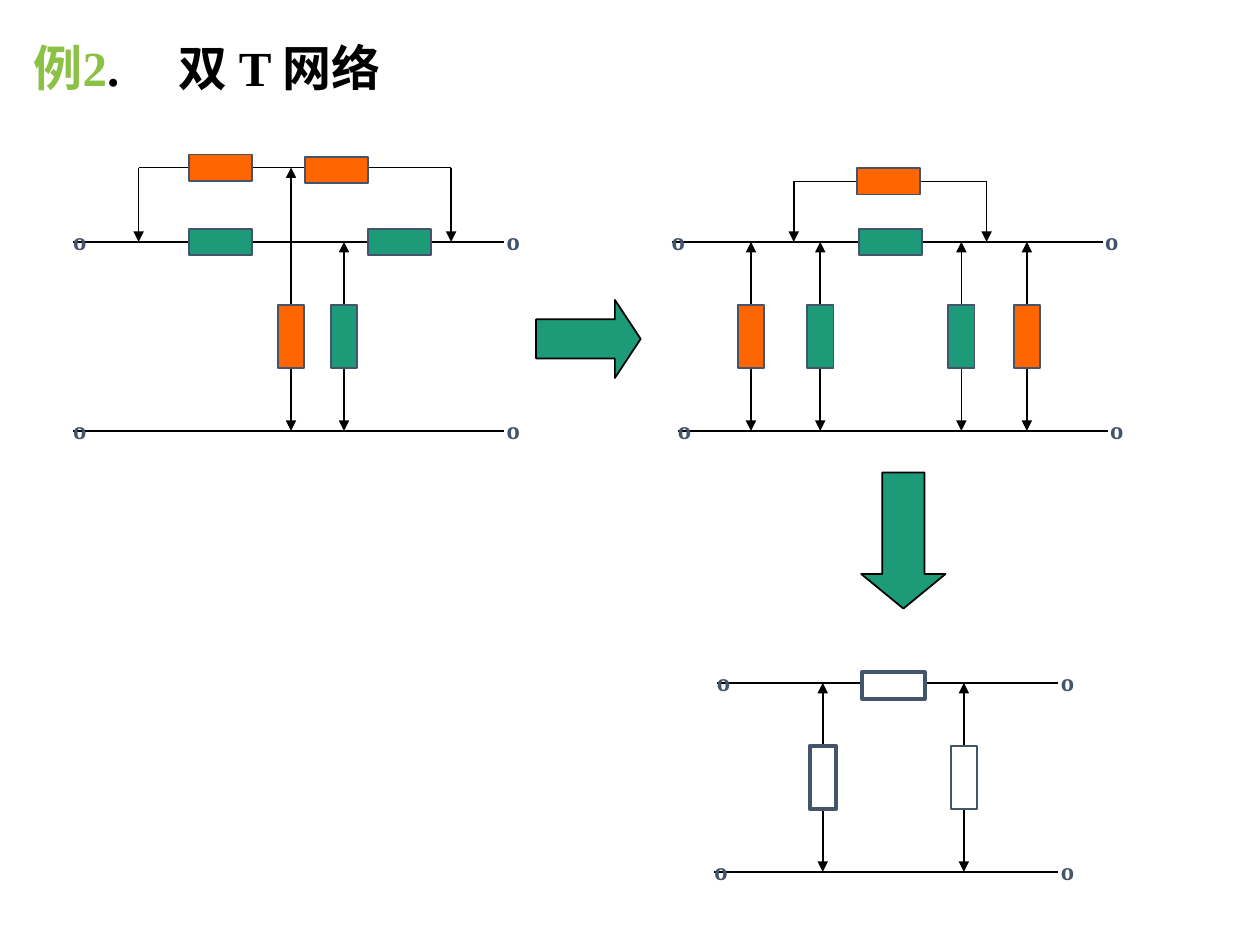
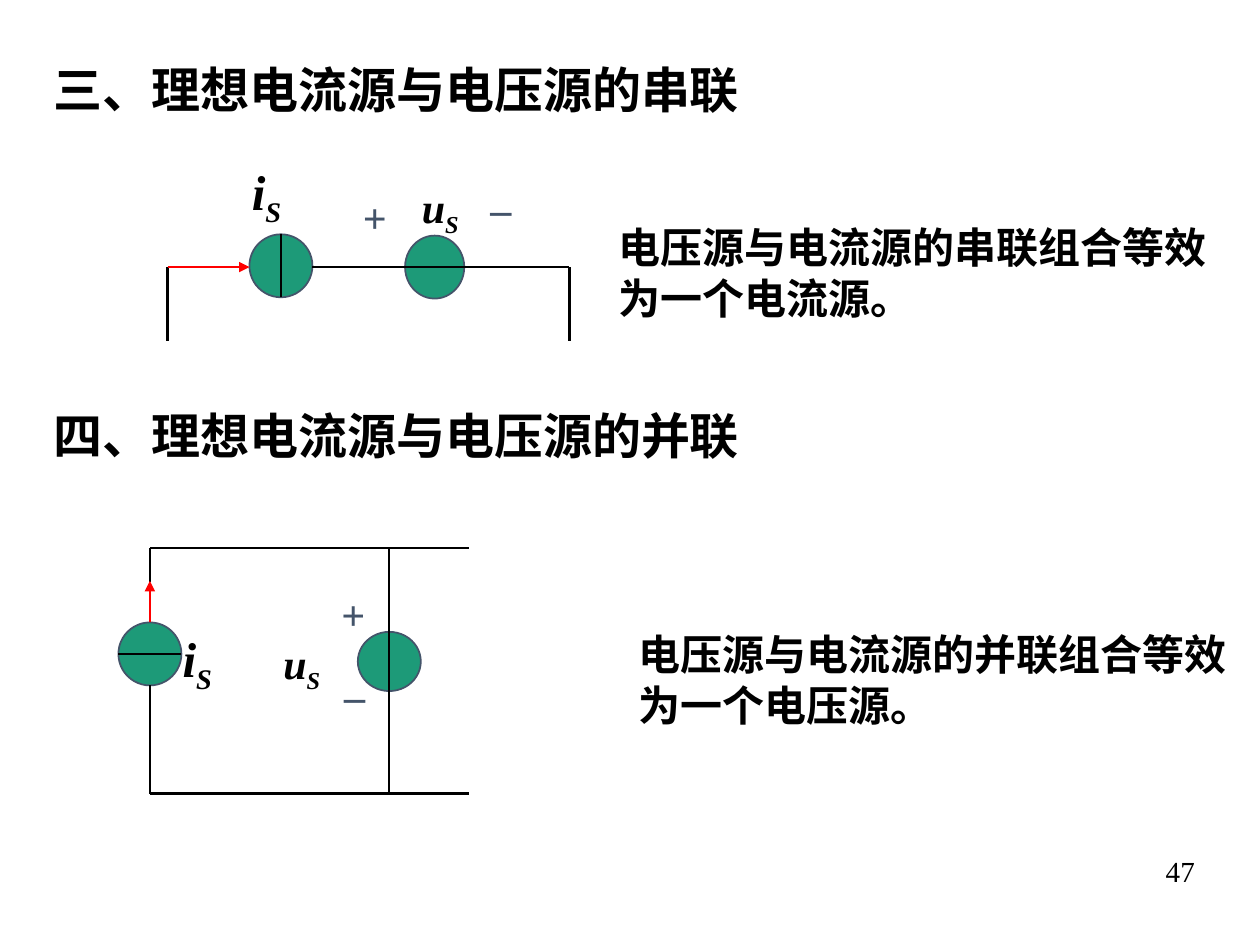
from dataclasses import dataclass

from lxml import etree
from pptx import Presentation
from pptx.dml.color import RGBColor
from pptx.enum import shapes, text
from pptx.oxml import ns
from pptx.util import Inches, Pt


@dataclass(frozen=True)
class Theme:
    font: str = "Times New Roman"
    black: str = "000000"
    slate: str = "44546A"
    green: str = "1D9A78"
    orange: str = "FF6600"
    white: str = "FFFFFF"
    red: str = "FF0000"
    lime: str = "8BC145"
    head: float = 28
    body: float = 24
    foot: float = 16.6


T = Theme()
FORM = shapes.MSO_SHAPE
ALIGN = text.PP_ALIGN


def wire(slide, x1, y1, x2, y2, color=T.black, width=1, ends=()):
    line = slide.shapes.add_connector(
        shapes.MSO_CONNECTOR.STRAIGHT, Inches(x1), Inches(y1), Inches(x2), Inches(y2))
    line.line.color.rgb = RGBColor.from_string(color)
    line.line.width = Pt(width)
    for end in ends:
        etree.SubElement(line.line._get_or_add_ln(), ns.qn(f"a:{end}"), type="triangle")
    etree.SubElement(line._element.spPr, ns.qn("a:effectLst"))


def part(slide, form, x, y, wide, high, fill, edge=T.slate, width=1):
    item = slide.shapes.add_shape(
        form, Inches(x - wide / 2), Inches(y - high / 2), Inches(wide), Inches(high))
    item.shadow.inherit = False
    item.fill.solid()
    item.fill.fore_color.rgb = RGBColor.from_string(fill)
    item.line.color.rgb = RGBColor.from_string(edge)
    item.line.width = Pt(width)
    return item


deck = Presentation()
deck.slide_width, deck.slide_height = Inches(10), Inches(7.5)
blank = deck.slide_layouts[6]
net = deck.slides.add_slide(blank)
source = deck.slides.add_slide(blank)

rails = [
    (0.58, 4, 1.92), (0.58, 4, 3.42),
    (5.33, 8.75, 1.92), (5.38, 8.79, 3.42),
    (5.69, 8.4, 5.42), (5.67, 8.4, 6.92),
]
for left, right, y in rails:
    wire(net, left, y, right, y)

for left, right, y in [(1.1, 3.58, 1.33), (6.3, 7.83, 1.44)]:
    wire(net, left, y, right, y)
    for x in (left, right):
        wire(net, x, y, x, 1.92, ends=["tailEnd"])

legs = [
    (2.73, 1.92, 3.42, T.green, 1), (2.31, 1.33, 3.42, T.orange, 1),
    (5.96, 1.92, 3.42, T.orange, 1), (6.51, 1.92, 3.42, T.green, 1),
    (7.63, 1.92, 3.42, T.green, 1), (8.15, 1.92, 3.42, T.orange, 1),
    (6.53, 5.42, 6.92, T.white, 2.25), (7.65, 5.42, 6.92, T.white, 1),
]
for x, top, base, fill, width in legs:
    wire(net, x, top, x, base, ends=["headEnd", "tailEnd"])
    part(net, FORM.RECTANGLE, x, base - 0.75, 0.21, 0.5, fill, width=width)

arms = [
    (1.75, 1.92, T.green, 1), (3.17, 1.92, T.green, 1),
    (1.75, 1.33, T.orange, 1), (2.67, 1.35, T.orange, 1),
    (7.07, 1.92, T.green, 1), (7.05, 1.44, T.orange, 1),
    (7.09, 5.44, T.white, 2.25),
]
for x, y, fill, width in arms:
    part(net, FORM.RECTANGLE, x, y, 0.5, 0.21, fill, width=width)

arrows = [
    (FORM.RIGHT_ARROW, 4.67, 2.69, 0.83, 0.62, 0.33),
    (FORM.DOWN_ARROW, 7.17, 4.29, 0.67, 1.08, 0.41),
]
for form, x, y, wide, high, tip in arrows:
    arrow = part(net, form, x, y, wide, high, T.green, edge=T.black)
    arrow.adjustments[1] = tip

for x, y, wide, high in [
    (2.23, 2.11, 0.5, 0.5), (3.45, 2.12, 0.47, 0.5),
    (1.19, 5.19, 0.5, 0.5), (3.09, 5.25, 0.5, 0.47),
]:
    part(source, FORM.OVAL, x, y, wide, high, T.green)

for ends in [
    (2.23, 2.36, 2.23, 1.86), (0.94, 5.19, 1.44, 5.19), (1.19, 5.44, 1.19, 6.02),
]:
    wire(source, *ends, width=0.75)
wire(source, 3.09, 4.35, 3.09, 6.3)
for ends in [
    (2.48, 2.12, 4.52, 2.12), (1.33, 2.12, 1.33, 2.71), (4.52, 2.12, 4.52, 2.71),
    (3.72, 4.35, 1.19, 4.35), (1.19, 4.62, 1.19, 4.35),
    (3.72, 6.3, 1.19, 6.3), (1.19, 6.02, 1.19, 6.3),
]:
    wire(source, *ends, width=1.5)
wire(source, 1.33, 2.12, 1.98, 2.12, T.red, 1.5, ["tailEnd"])
wire(source, 1.19, 4.94, 1.19, 4.61, T.red, 0.75, ["tailEnd"])

notes = [
    (net, ["例2", ".\t双 T 网络"], (0.17, 0.25, 4.08, 0.57), T.head, T.black, ALIGN.LEFT),
    (source, ["三、理想电流源与电压源的串联"], (0.33, 0.42, 6.77, 0.57), T.head, T.black, ALIGN.LEFT),
    (source, ["四、理想电流源与电压源的并联"], (0.33, 3.17, 6.77, 0.57), T.head, T.black, ALIGN.LEFT),
    (source, ["电压源与电流源的串联组合等效为一个电流源。"], (4.81, 1.71, 5.05, 0.9), T.body, T.black, ALIGN.LEFT),
    (source, ["电压源与电流源的并联组合等效为一个电压源。"], (4.97, 4.94, 5.05, 0.9), T.body, T.black, ALIGN.LEFT),
    (source, ["47"], (7.33, 6.73, 2.25, 0.4), T.foot, T.black, ALIGN.RIGHT),
]
for left, right, y in rails:
    for x in (left - 0.1, right - 0.08):
        notes.append((net, ["º"], (x, y - 0.19, 0.2, 0.5), T.body, T.slate, ALIGN.CENTER))
for x, y in [(1.9, 1.23), (1.35, 4.94)]:
    notes.append((source, ["i", "S"], (x, y, 0.58, 0.63), T.head, T.black, ALIGN.LEFT))
for x, y in [(3.25, 1.39), (2.15, 5.01)]:
    notes.append((source, ["u", "S"], (x, y, 0.6, 0.56), T.body, T.black, ALIGN.LEFT))
for sign, x, y, wide in [
    ("+", 2.78, 1.47, 0.39), ("_", 3.79, 1.29, 0.37),
    ("+", 2.61, 4.62, 0.39), ("_", 2.63, 5.15, 0.37),
]:
    notes.append((source, [sign], (x, y, wide, 0.5), T.body, T.slate, ALIGN.CENTER))

for slide, words, box, size, color, align in notes:
    frame = slide.shapes.add_textbox(*map(Inches, box)).text_frame
    frame.word_wrap = True
    if align != ALIGN.LEFT:
        frame.vertical_anchor = text.MSO_ANCHOR.MIDDLE
    line = frame.paragraphs[0]
    line.alignment = align
    if size == T.foot:
        line.line_spacing = 0.9
    if words[0] == "例2":
        tabs = etree.SubElement(line._p.get_or_add_pPr(), ns.qn("a:tabLst"))
        etree.SubElement(tabs, ns.qn("a:tab"), pos=str(Inches(1.15)), algn="l")
    for word in words:
        run = line.add_run()
        run.text = word
        run.font.name = T.font
        run.font.size = Pt(size)
        run.font.bold = size != T.foot
        run.font.italic = words[-1] == "S"
        run.font.color.rgb = RGBColor.from_string(T.lime if word == "例2" else color)
        if word == "S":
            run._r.get_or_add_rPr().set("baseline", "-25000")

deck.save("out.pptx")
